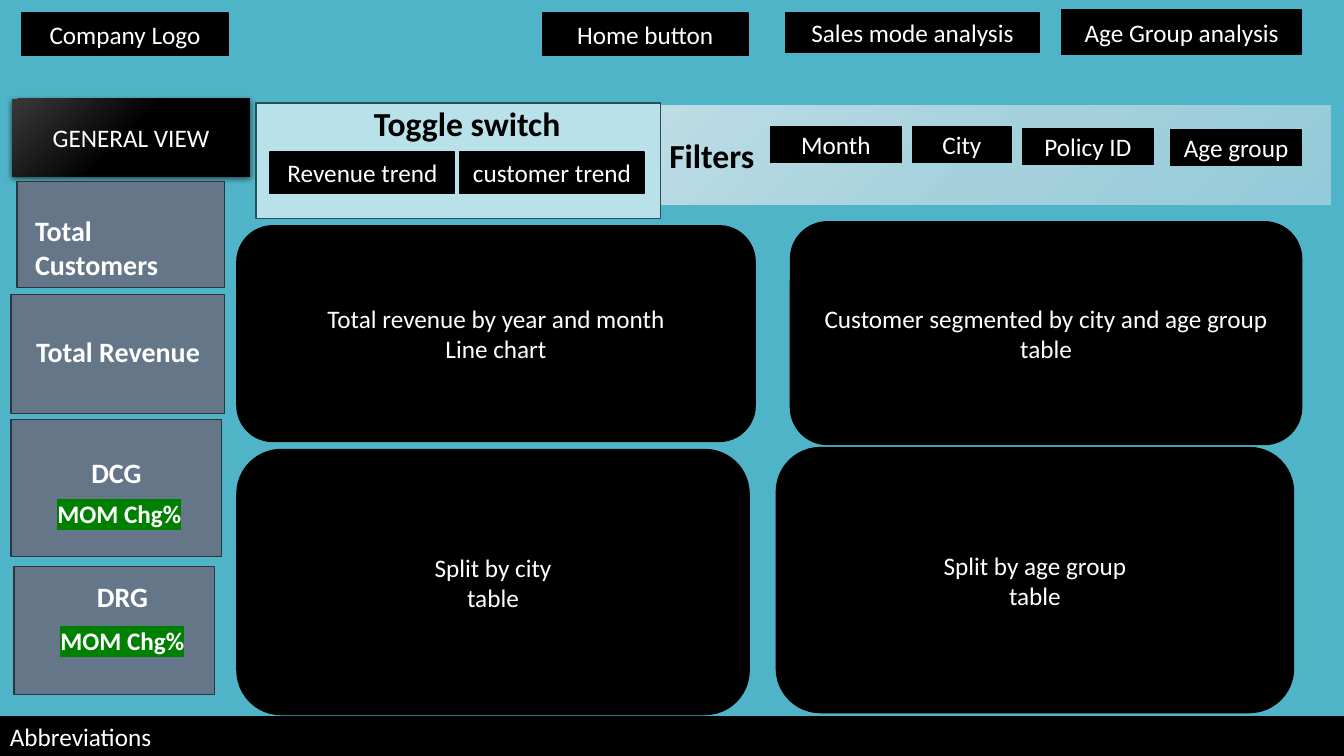
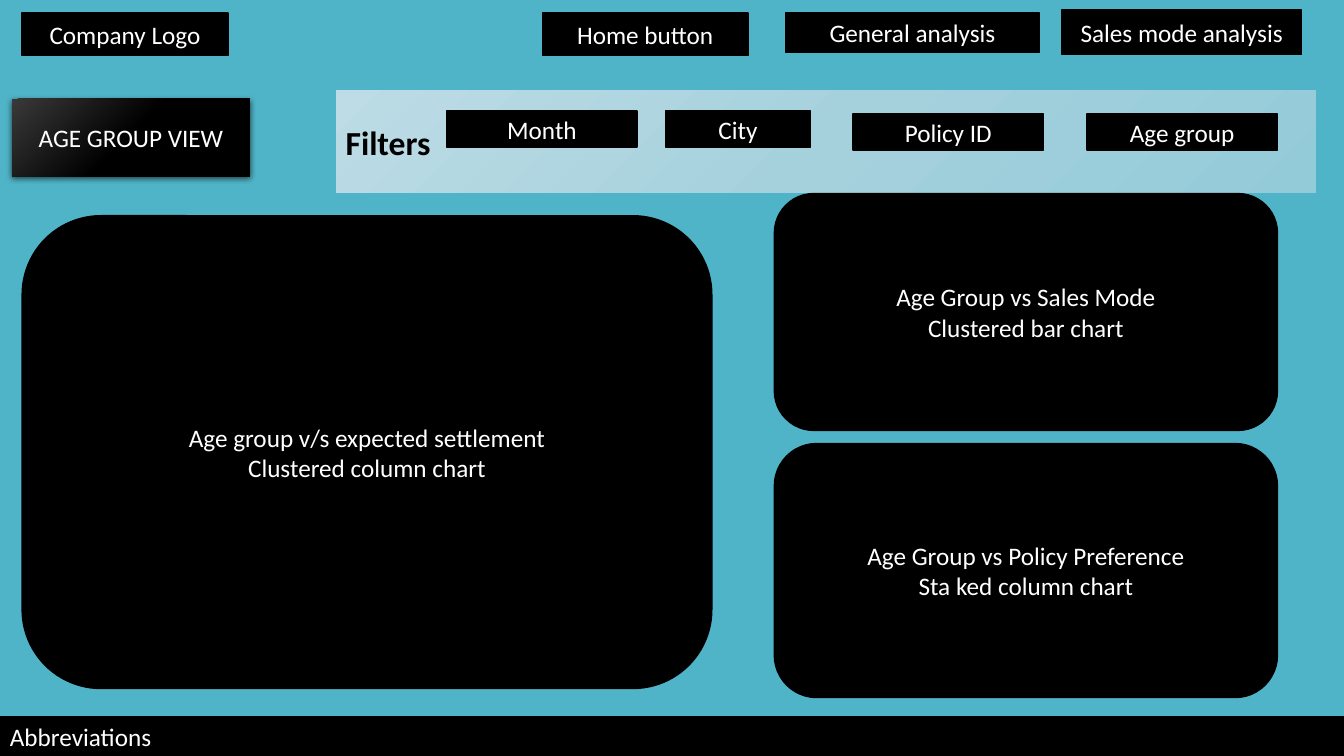
"""Build two dashboard wireframe slides."""
from dataclasses import dataclass

from pptx import Presentation
from pptx.dml.color import RGBColor as Rgb
from pptx.enum.shapes import MSO_SHAPE as Kind
from pptx.enum.text import MSO_ANCHOR as Anchor, MSO_AUTO_SIZE as Fit, PP_ALIGN as Align
from pptx.oxml import parse_xml
from pptx.oxml.ns import nsdecls, qn
from pptx.util import Inches, Pt

FONT = "Calibri"
INK = {
    "back": "50B4C8", "black": "000000", "white": "FFFFFF",
    "tile": "657689", "edge": "2C343C", "pale": "B9E1E9",
    "rim": "234F58", "green": "008000",
}
BADGE = {0: "393939", 50: "000000", 100: "000000"}
GLASS = {0: "BDDCE5", 50: "A5D1DD", 100: "94CBD9"}


@dataclass
class Box:
    x: float
    y: float
    w: float
    h: float
    text: str = ""

    def place(self) -> tuple:
        return tuple(Inches(v) for v in (self.x, self.y, self.w, self.h))


@dataclass
class View:
    title: str
    links: list[str]
    band: Box
    chips: list[Box]
    panels: list[Box]


NAV = [(0.22, 0.13, 2.04, 0.42), (5.38, 0.13, 2.04, 0.42),
       (7.79, 0.13, 2.52, 0.39), (10.53, 0.1, 2.38, 0.44)]
FOOT = Box(0, 7.11, 13.33, 0.4, "Abbreviations")

GENERAL = View(
    "GENERAL VIEW",
    ["Company Logo", "Home button", "Sales mode analysis", "Age Group analysis"],
    Box(6.54, 1.04, 6.67, 1, "Filters"),
    [Box(7.64, 1.26, 1.3, 0.35, "Month"), Box(9.05, 1.26, 0.98, 0.35, "City"),
     Box(10.14, 1.28, 1.3, 0.35, "Policy ID"), Box(11.61, 1.29, 1.3, 0.35, "Age group")],
    [Box(2.35, 2.24, 5.14, 2.14, "Total revenue by year and month\nLine chart"),
     Box(7.84, 2.2, 5.07, 2.21, "Customer segmented by city and age group\ntable"),
     Box(2.35, 4.46, 5.08, 2.63, "Split by city\ntable"),
     Box(7.7, 4.44, 5.13, 2.63, "Split by age group\ntable")],
)
AGE = View(
    "AGE GROUP VIEW",
    ["Company Logo", "Home button", "General analysis", "Sales mode analysis"],
    Box(3.33, 0.89, 9.73, 1.03, "Filters"),
    [Box(4.43, 1.1, 1.89, 0.36, "Month"), Box(6.6, 1.1, 1.44, 0.36, "City"),
     Box(8.46, 1.13, 1.89, 0.36, "Policy ID"), Box(10.78, 1.13, 1.89, 0.36, "Age group")],
    [Box(0.22, 2.14, 6.84, 4.69, "Age group v/s expected settlement\nClustered column chart"),
     Box(7.68, 1.92, 4.99, 2.35, "Age Group vs Sales Mode\nClustered bar chart"),
     Box(7.68, 4.4, 4.99, 2.52, "Age Group vs Policy Preference\nSta ked column chart")],
)
TILES = [Box(0.17, 1.8, 2.06, 1.05), Box(0.11, 2.92, 2.12, 1.18),
         Box(0.11, 4.16, 2.09, 1.36), Box(0.14, 5.62, 1.99, 1.27)]
HEADS = [(Box(0.25, 2.07, 2.04, 0.44, "Total Customers"), Align.LEFT),
         (Box(0.26, 3.27, 2.07, 0.77, "Total Revenue"), Align.LEFT),
         (Box(0.11, 4.47, 2.09, 0.44, "DCG"), Align.CENTER),
         (Box(0.4, 5.7, 1.63, 0.77, "DRG"), Align.CENTER)]
RATES = [Box(x, y, 1.73, 0.4, "MOM Chg%") for x, y in ((0.47, 4.89), (0.5, 6.15))]
TOGGLE = Box(2.54, 1.02, 4.01, 1.15)
LABEL = Box(3.61, 0.97, 2.36, 0.5, "Toggle switch")
MODES = [Box(2.68, 1.51, 1.83, 0.41, "Revenue trend"),
         Box(4.56, 1.51, 1.83, 0.41, "customer trend")]


def tint(name: str) -> Rgb:
    return Rgb.from_string(INK[name])


def put(shape, text: str, *, size: float = 18, ink: str = "white", bold: bool = False,
        align=Align.CENTER, anchor=Anchor.MIDDLE, mark: str = "") -> None:
    frame = shape.text_frame
    frame.word_wrap = True
    frame.auto_size = Fit.NONE
    frame.vertical_anchor = anchor
    for n, line in enumerate(text.split("\n")):
        para = frame.add_paragraph() if n else frame.paragraphs[0]
        para.alignment = align
        run = para.add_run()
        run.text = line
        font = run.font
        font.size, font.bold, font.name = Pt(size), bold, FONT
        font.color.rgb = tint(ink)
        if mark:
            solid = run._r.rPr.find(qn("a:solidFill"))
            solid.addnext(parse_xml(
                f'<a:highlight {nsdecls("a")}><a:srgbClr val="{INK[mark]}"/></a:highlight>'))


def draw(slide, box: Box, *, kind=Kind.RECTANGLE, fill: str = "black",
         line: str = "black", width: float = 1, **style):
    shape = slide.shapes.add_shape(kind, *box.place())
    shape.shadow.inherit = False
    shape.fill.solid()
    shape.fill.fore_color.rgb = tint(fill)
    shape.line.color.rgb = tint(line)
    shape.line.width = Pt(width)
    if box.text:
        put(shape, box.text, **style)
    return shape


def write(slide, box: Box, **style) -> None:
    put(slide.shapes.add_textbox(*box.place()), box.text,
        bold=True, anchor=Anchor.TOP, **style)


def blend(shape, stops: dict[int, str]) -> None:
    props = shape._element.spPr
    for old in props.findall(qn("a:solidFill")):
        props.remove(old)
    marks = "".join(f'<a:gs pos="{pos * 1000}"><a:srgbClr val="{code}"/></a:gs>'
                    for pos, code in stops.items())
    props.insert(2, parse_xml(
        f'<a:gradFill {nsdecls("a")} rotWithShape="1"><a:gsLst>{marks}</a:gsLst>'
        '<a:lin ang="2700000" scaled="0"/></a:gradFill>'))


def head(slide, text: str) -> None:
    title = slide.shapes.title
    box = Box(0.12, 0.98, 2.36, 0.77)
    title.left, title.top, title.width, title.height = box.place()
    props = title._element.spPr
    props.insert(1, parse_xml(
        f'<a:prstGeom {nsdecls("a")} prst="roundRect"><a:avLst/></a:prstGeom>'))
    blend(title, BADGE)
    props.append(parse_xml(
        f'<a:effectLst {nsdecls("a")}><a:outerShdw blurRad="57150" dist="19050" '
        'dir="5400000" algn="ctr" rotWithShape="0"><a:srgbClr val="000000">'
        '<a:alpha val="63000"/></a:srgbClr></a:outerShdw></a:effectLst>'))
    put(title, text)


def build(deck, view: View):
    slide = deck.slides.add_slide(deck.slide_layouts[5])
    back = slide.background.fill
    back.solid()
    back.fore_color.rgb = tint("back")
    head(slide, view.title)
    for spot, text in zip(NAV, view.links):
        draw(slide, Box(*spot, text))
    band = draw(slide, view.band, line="back", width=0.75,
                size=24, ink="black", bold=True, align=Align.LEFT)
    blend(band, GLASS)
    for chip in view.chips:
        draw(slide, chip)
    for panel in view.panels:
        draw(slide, panel, kind=Kind.ROUNDED_RECTANGLE)
    draw(slide, FOOT, align=Align.LEFT)
    return slide


def stats(slide) -> None:
    for tile in TILES:
        draw(slide, tile, fill="tile", line="edge")
    for box, align in HEADS:
        write(slide, box, size=20, align=align)
    for rate in RATES:
        write(slide, rate, align=Align.LEFT, mark="green")


def switch(slide) -> None:
    draw(slide, TOGGLE, fill="pale", line="rim")
    for mode in MODES:
        draw(slide, mode)
    write(slide, LABEL, size=24, ink="black", align=Align.LEFT)


def main() -> None:
    deck = Presentation()
    deck.slide_width, deck.slide_height = Inches(13.33), Inches(7.5)
    first = build(deck, GENERAL)
    stats(first)
    switch(first)
    build(deck, AGE)
    deck.save("out.pptx")


if __name__ == "__main__":
    main()
